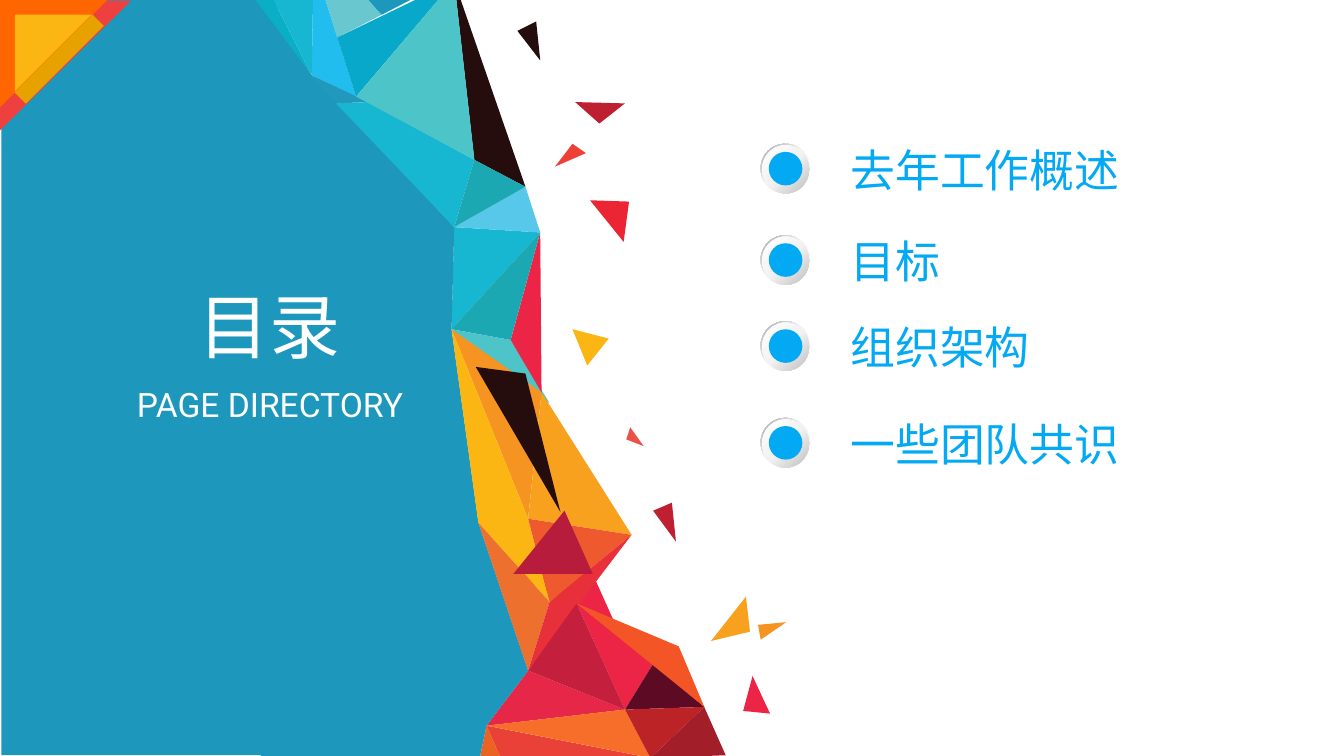
import dataclasses

import pptx
import pptx.dml.color
import pptx.enum.shapes
import pptx.enum.text
import pptx.oxml
import pptx.oxml.ns
import pptx.util

# The slide is a grid of 1000 columns; rows are as tall as columns are wide.
SLIDE_WIDTH = pptx.util.Inches(10)
SLIDE_HEIGHT = SLIDE_WIDTH * 9 // 16
CELL = SLIDE_WIDTH // 1000
FONT = "Roboto"
MSO = pptx.enum.shapes.MSO_SHAPE

COLORS = {
    "panel": "1D97BC", "sky": "03A9F3", "white": "FFFFFF",
    "pink": "EC2546", "plum": "5D0B24", "black": "260D0D",
    "maroon": "A21F29", "coral": "E94138", "rose": "E72748", "wine": "B71C3C",
    "crimson": "C41F3D", "brick": "BC2326", "ruby": "BE1F31", "red": "EB2534",
    "scarlet": "E73039", "tomato": "EE4037", "salmon": "EA5248",
    "rust": "EB6323", "copper": "ED702E", "flame": "EE592E",
    "ember": "F45526", "carrot": "F66E29", "orange": "F59421",
    "amber": "F8A11E", "yellow": "FBB614", "mustard": "E7A200",
    "corner_red": "EE403F", "corner_orange": "FF6600",
    "aqua": "4DC5C8", "mist": "69C7CF", "cyan": "17B7D1", "azure": "21BDEE",
    "pale_blue": "57C8EA", "lagoon": "0AAEC5", "ocean": "08A8CA",
    "steel": "2198BC", "teal": "1BA8B2",
    "pearl": "F2F2F2", "silver": "BFBFBF", "gray": "A6A6A6",
}

Point = tuple[int, int]


@dataclasses.dataclass(frozen=True)
class Facet:
    color: str
    corners: str  # one letter of MESH per corner


@dataclasses.dataclass(frozen=True)
class Splinter:
    color: str
    points: list[Point]


@dataclasses.dataclass(frozen=True)
class Block:
    kind: MSO
    color: str
    box: tuple[int, int, int, int]
    rotation: int = 0


@dataclasses.dataclass(frozen=True)
class Entry:
    text: str
    top: int


# Corners that neighbouring facets of the mosaic share
MESH = {
    # Blue top
    "A": (338, -14), "B": (391, 139), "C": (353, 119), "D": (402, 173),
    "E": (338, 169), "F": (336, 245), "G": (380, 253), "H": (403, 292),
    "I": (232, 56), "J": (250, 77), "K": (265, 72), "L": (274, 76),
    "M": (233, -4), "N": (203, -1), "O": (188, -3), "P": (251, 28),
    "Q": (284, 11), "R": (265, -10), "S": (241, -4), "T": (313, -4),
    "U": (409, 300), "V": (192, 0), "W": (194, 565),
    # Yellow and red bottom
    "a": (393, 386), "b": (356, 389), "c": (409, 448), "d": (470, 398),
    "e": (393, 499), "f": (465, 528), "g": (524, 526), "h": (362, 540),
    "i": (484, 564), "j": (429, 449), "k": (505, 481), "l": (486, 494),
    "m": (540, 562), "n": (357, 564), "o": (372, 563), "p": (459, 467),
    # Dark triangles on top
    "q": (382, 427), "r": (441, 427), "s": (420, 380),
    "t": (354, 273), "u": (391, 278), "v": (417, 381),
}

# From back to front
FACETS = [
    Facet("pink", "jfl"), Facet("plum", "fgl"), Facet("black", "ABC"),
    Facet("maroon", "gmi"), Facet("pink", "qpr"), Facet("coral", "hoi"),
    Facet("rose", "ehf"), Facet("aqua", "FGU"), Facet("cyan", "EDF"),
    Facet("pale_blue", "EBD"), Facet("rust", "hno"), Facet("azure", "MSKI"),
    Facet("panel", "VIEFbehnW"), Facet("lagoon", "ONI"), Facet("cyan", "NMI"),
    Facet("steel", "ILJ"), Facet("cyan", "LCEJ"), Facet("teal", "CBE"),
    Facet("mist", "SRQP"), Facet("ocean", "PKA"), Facet("pink", "DGH"),
    Facet("aqua", "ACK"), Facet("teal", "DGF"), Facet("orange", "FHa"),
    Facet("yellow", "Fbca"), Facet("amber", "Had"), Facet("black", "tuv"),
    Facet("flame", "acd"), Facet("copper", "bce"), Facet("scarlet", "cde"),
    Facet("wine", "qrs"), Facet("crimson", "jfe"), Facet("ember", "jgk"),
    Facet("carrot", "hfi"), Facet("brick", "fgi"), Facet("panel", "RQT"),
]

SPLINTERS = [
    Splinter("tomato", [(426, 107), (413, 124), (436, 114)]),
    Splinter("red", [(439, 149), (468, 150), (464, 180)]),
    Splinter("ruby", [(428, 76), (465, 77), (446, 92)]),
    Splinter("yellow", [(426, 245), (453, 252), (437, 272)]),
    Splinter("amber", [(555, 444), (529, 477), (558, 470)]),
    Splinter("pink", [(560, 503), (553, 529), (573, 531)]),
    Splinter("orange", [(564, 465), (585, 463), (566, 476)]),
    Splinter("salmon", [(469, 318), (479, 332), (466, 327)]),
    Splinter("black", [(399, 16), (385, 23), (402, 45)]),
    Splinter("ruby", [(500, 374), (486, 380), (503, 403)]),
]

PANEL = Block(MSO.RECTANGLE, "panel", (1, -1, 206, 563))
CORNER = [
    Block(MSO.RIGHT_TRIANGLE, "corner_red", (0, 0, 97, 98), 90),
    Block(MSO.RIGHT_TRIANGLE, "corner_orange", (0, 0, 80, 80), 90),
    Block(MSO.RIGHT_TRIANGLE, "yellow", (11, 11, 57, 57), 90),
    Block(MSO.RECTANGLE, "mustard", (38, 3, 12, 82), 45),
]

BULLET_LEFT, LABEL_LEFT = 566, 623
ENTRIES = [Entry("去年工作概述", 101), Entry("目标", 169),
           Entry("组织架构", 233), Entry("一些团队共识", 305)]


def rgb(color: str) -> pptx.dml.color.RGBColor:
    return pptx.dml.color.RGBColor.from_string(COLORS[color])


def paint(shape, color: str) -> None:
    shape.shadow.inherit = False
    shape.fill.solid()
    shape.fill.fore_color.rgb = rgb(color)
    shape.line.fill.background()


def paint_gradient(shape, middle: int, end_color: str, angle: int) -> None:
    """Fill with white, pearl and an end colour; the angle is clockwise."""
    stops = [(0, "white"), (middle, "pearl"), (100, end_color)]
    solid = shape.element.spPr.find(pptx.oxml.ns.qn("a:solidFill"))
    marks = "".join(f'<a:gs pos="{share * 1000}"><a:srgbClr val="{COLORS[color]}"/></a:gs>'
                    for share, color in stops)
    gradient = pptx.oxml.parse_xml(
        f'<a:gradFill {pptx.oxml.ns.nsdecls("a")} rotWithShape="1"><a:gsLst>{marks}</a:gsLst>'
        f'<a:lin ang="{angle * 60000}" scaled="0"/></a:gradFill>')
    solid.getparent().replace(solid, gradient)


def draw_polygon(shapes, color: str, points: list[Point]) -> None:
    outline = shapes.build_freeform(*points[0], scale=CELL)
    outline.add_line_segments(points[1:], close=True)
    paint(outline.convert_to_shape(), color)


def draw_block(shapes, block: Block):
    shape = shapes.add_shape(block.kind, *(cells * CELL for cells in block.box))
    shape.rotation = block.rotation
    paint(shape, block.color)
    return shape


def draw_bullet(shapes, left: int, top: int) -> None:
    button = shapes.add_group_shape().shapes
    ring = draw_block(button, Block(MSO.DONUT, "white", (left, top, 37, 37)))
    ring.adjustments[0] = 0.05
    paint_gradient(ring, 55, "gray", 225)
    dome = draw_block(button, Block(MSO.OVAL, "white", (left + 1, top + 1, 35, 36)))
    paint_gradient(dome, 51, "silver", 45)
    draw_block(button, Block(MSO.OVAL, "sky", (left + 6, top + 6, 25, 25)))


def write(shape, text: str, size: int, color: str, centered: bool = False) -> None:
    frame = shape.text_frame
    frame.text = text
    frame.word_wrap = not centered
    frame.auto_size = pptx.enum.text.MSO_AUTO_SIZE.SHAPE_TO_FIT_TEXT
    frame.vertical_anchor = pptx.enum.text.MSO_ANCHOR.TOP
    paragraph = frame.paragraphs[0]
    align = pptx.enum.text.PP_ALIGN
    paragraph.alignment = align.CENTER if centered else align.LEFT
    paragraph.font.name = FONT
    paragraph.font.size = pptx.util.Pt(size)
    paragraph.font.color.rgb = rgb(color)


def main() -> None:
    deck = pptx.Presentation()
    deck.slide_width, deck.slide_height = SLIDE_WIDTH, SLIDE_HEIGHT
    slide = deck.slides.add_slide(deck.slide_layouts[5])
    shapes = slide.shapes

    # Blue panel, mosaic edge, loose splinters and corner
    draw_block(shapes, PANEL)
    for facet in FACETS:
        draw_polygon(shapes, facet.color, [MESH[corner] for corner in facet.corners])
    for splinter in SPLINTERS:
        draw_polygon(shapes, splinter.color, splinter.points)
    for block in CORNER:
        draw_block(shapes, block)

    # Agenda entries
    for entry in ENTRIES:
        box = (LABEL_LEFT, entry.top, 260, 50)
        label = shapes.add_textbox(*(cells * CELL for cells in box))
        write(label, entry.text, 24, "sky")
        draw_bullet(shapes, BULLET_LEFT, entry.top + 6)

    # Title, brought in front of the panel, and subtitle
    title = shapes.title
    title.left, title.top, title.width, title.height = (
        cells * CELL for cells in (137, 205, 127, 74))
    write(title, "目录", 38, "white", centered=True)
    title.element.getparent().append(title.element)
    subtitle = shapes.add_textbox(*(cells * CELL for cells in (68, 281, 266, 40)))
    write(subtitle, "PAGE DIRECTORY", 18, "white", centered=True)

    deck.save("out.pptx")


if __name__ == "__main__":
    main()
